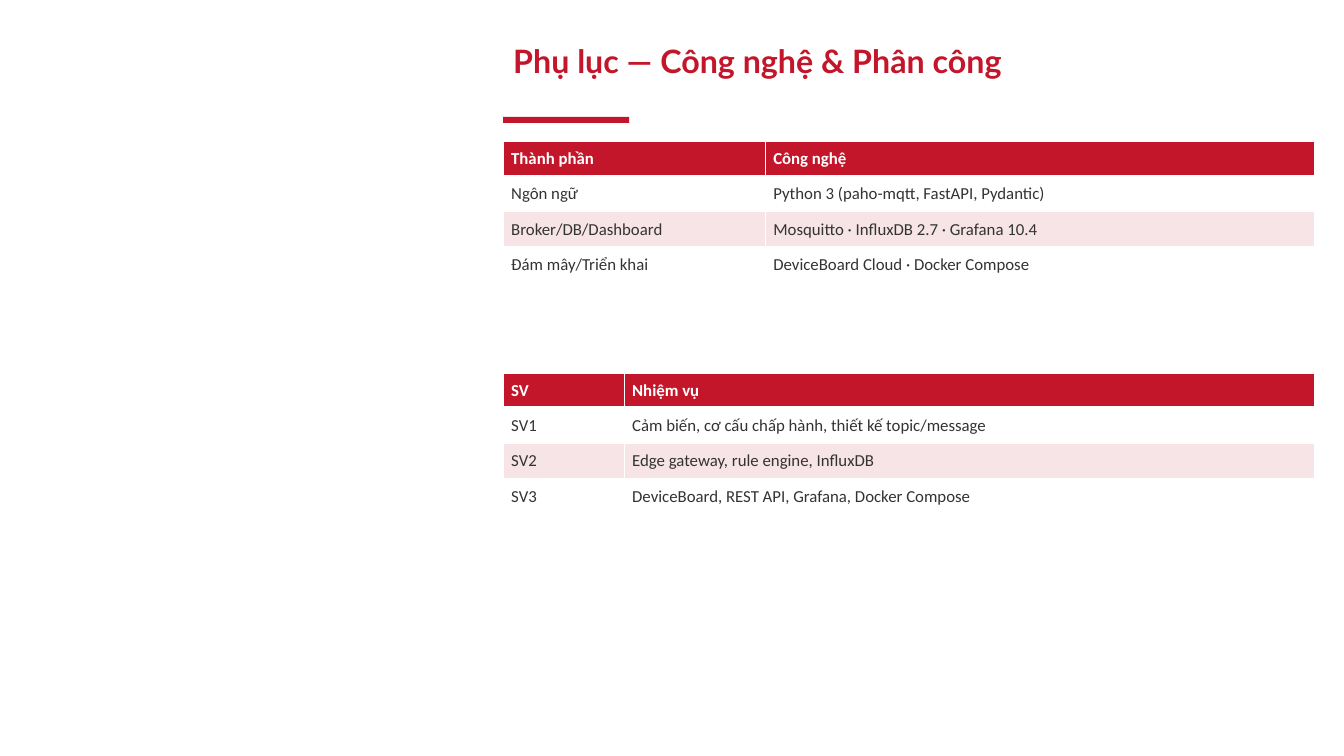
import lxml.etree
import pptx
import pptx.dml.color
import pptx.enum.shapes
import pptx.enum.text
import pptx.oxml.ns
import pptx.util

Inches = pptx.util.Inches
Pt = pptx.util.Pt
qn = pptx.oxml.ns.qn

RED, PINK, WHITE, INK = "C4162A", "F7E4E6", "FFFFFF", "333333"
LEFT, WIDTH, ROW = 4.99, 8.05, 0.35

TECHNOLOGIES = [
    ("Thành phần", "Công nghệ"),
    ("Ngôn ngữ", "Python 3 (paho-mqtt, FastAPI, Pydantic)"),
    ("Broker/DB/Dashboard", "Mosquitto · InfluxDB 2.7 · Grafana 10.4"),
    ("Đám mây/Triển khai", "DeviceBoard Cloud · Docker Compose"),
]
TASKS = [
    ("SV", "Nhiệm vụ"),
    ("SV1", "Cảm biến, cơ cấu chấp hành, thiết kế topic/message"),
    ("SV2", "Edge gateway, rule engine, InfluxDB"),
    ("SV3", "DeviceBoard, REST API, Grafana, Docker Compose"),
]


def paint(fmt, color):
    """Give a fill a solid colour from a hex string."""
    fmt.solid()
    fmt.fore_color.rgb = pptx.dml.color.RGBColor.from_string(color)


def style(p, name, size, color, bold):
    """Set the font of a whole paragraph."""
    p.font.name, p.font.size, p.font.bold = name, Pt(size), bold
    paint(p.font.fill, color)


def add_title(slide, text):
    """Place the title placeholder over the content column."""
    sp = slide.shapes.title
    sp.left, sp.top = Inches(LEFT), Inches(0.4)
    sp.width, sp.height = Inches(WIDTH), Inches(0.8)
    tf = sp.text_frame
    tf.text = text
    tf.vertical_anchor = pptx.enum.text.MSO_ANCHOR.TOP
    p = tf.paragraphs[0]
    p.alignment = pptx.enum.text.PP_ALIGN.LEFT
    p.line_spacing = 0.9
    style(p, "Lato", 23, RED, True)


def add_accent(slide):
    """Draw the short red bar under the title."""
    sp = slide.shapes.add_shape(
        pptx.enum.shapes.MSO_SHAPE.RECTANGLE,
        Inches(LEFT), Inches(1.16), Inches(1.25), Inches(0.06))
    sp.shadow.inherit = False
    paint(sp.fill, RED)
    sp.line.fill.background()


def add_borders(cell, bottom):
    """Give a cell white borders, with its own bottom width in points."""
    props = cell._tc.get_or_add_tcPr()
    for side, width in (("L", 1), ("R", 1), ("T", 1), ("B", bottom)):
        line = lxml.etree.SubElement(props, qn("a:ln" + side), w=str(Pt(width)))
        fill = lxml.etree.SubElement(line, qn("a:solidFill"))
        lxml.etree.SubElement(fill, qn("a:srgbClr"), val=WHITE)


def fill_cell(cell, text, row):
    """Write and format one cell according to its row."""
    header = row == 0
    cell.text = text
    cell.vertical_anchor = pptx.enum.text.MSO_ANCHOR.MIDDLE
    cell.margin_left = cell.margin_right = Inches(0.08)
    cell.margin_top = cell.margin_bottom = Inches(0.03)
    add_borders(cell, 3 if header else 1)
    paint(cell.fill, RED if header else WHITE if row % 2 else PINK)
    style(cell.text_frame.paragraphs[0], "Calibri", 12,
          WHITE if header else INK, header)


def add_grid(slide, top, first_width, rows):
    """Add a two-column table with a red header and striped rows."""
    table = slide.shapes.add_table(
        len(rows), 2, Inches(LEFT), Inches(top),
        Inches(WIDTH), Inches(ROW * len(rows))).table
    table.columns[0].width = Inches(first_width)
    table.columns[1].width = Inches(WIDTH - first_width)
    for i, row in enumerate(rows):
        table.rows[i].height = Inches(ROW)
        for j, text in enumerate(row):
            fill_cell(table.cell(i, j), text, i)


def main():
    """Build and save the slide."""
    prs = pptx.Presentation()
    prs.slide_width, prs.slide_height = Inches(13.33), Inches(7.5)
    slide = prs.slides.add_slide(prs.slide_layouts.get_by_name("Title Only"))
    paint(slide.background.fill, WHITE)
    add_title(slide, "Phụ lục — Công nghệ & Phân công")
    add_accent(slide)
    add_grid(slide, 1.4, 2.6, TECHNOLOGIES)
    add_grid(slide, 3.7, 1.2, TASKS)
    prs.save("out.pptx")


if __name__ == "__main__":
    main()
